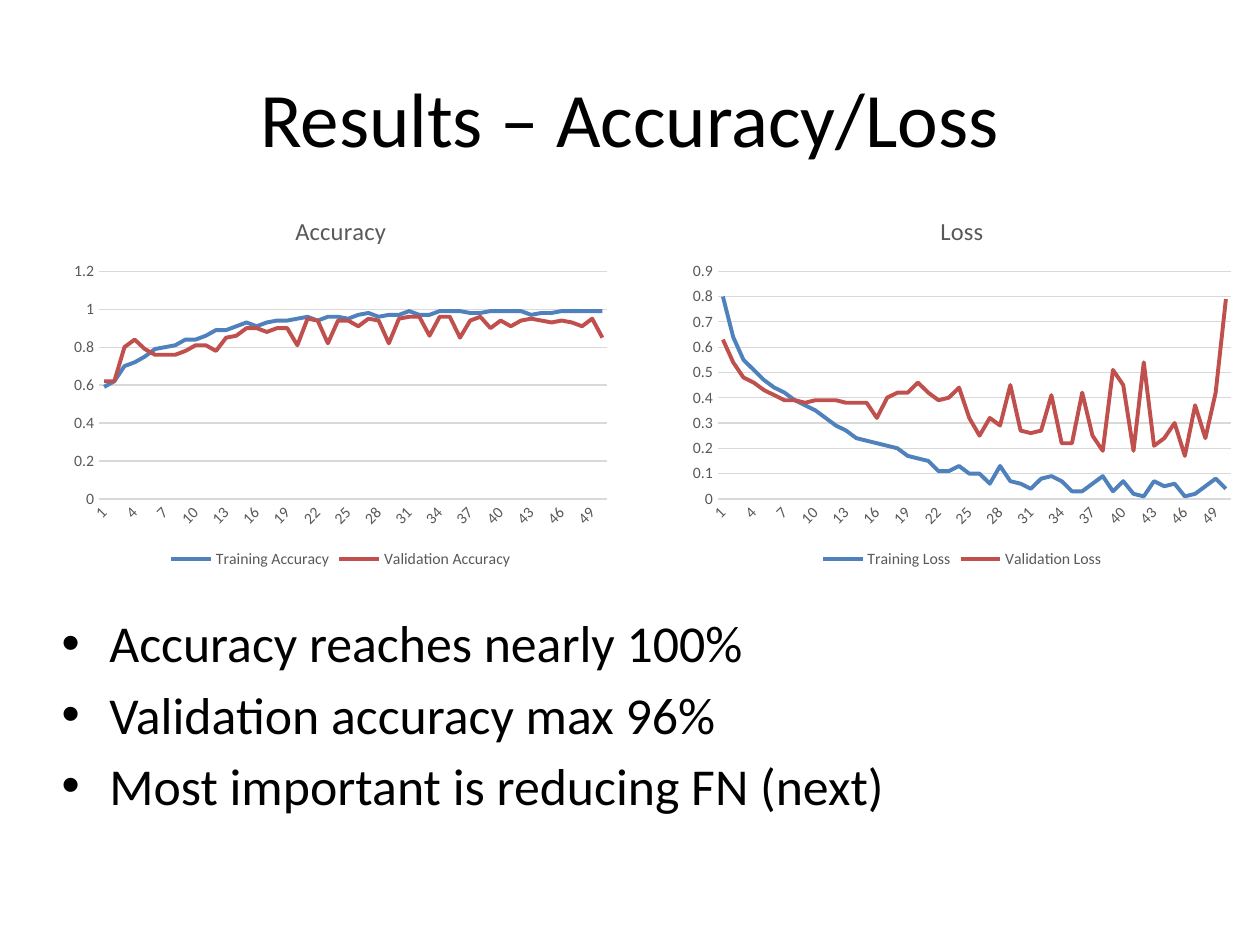
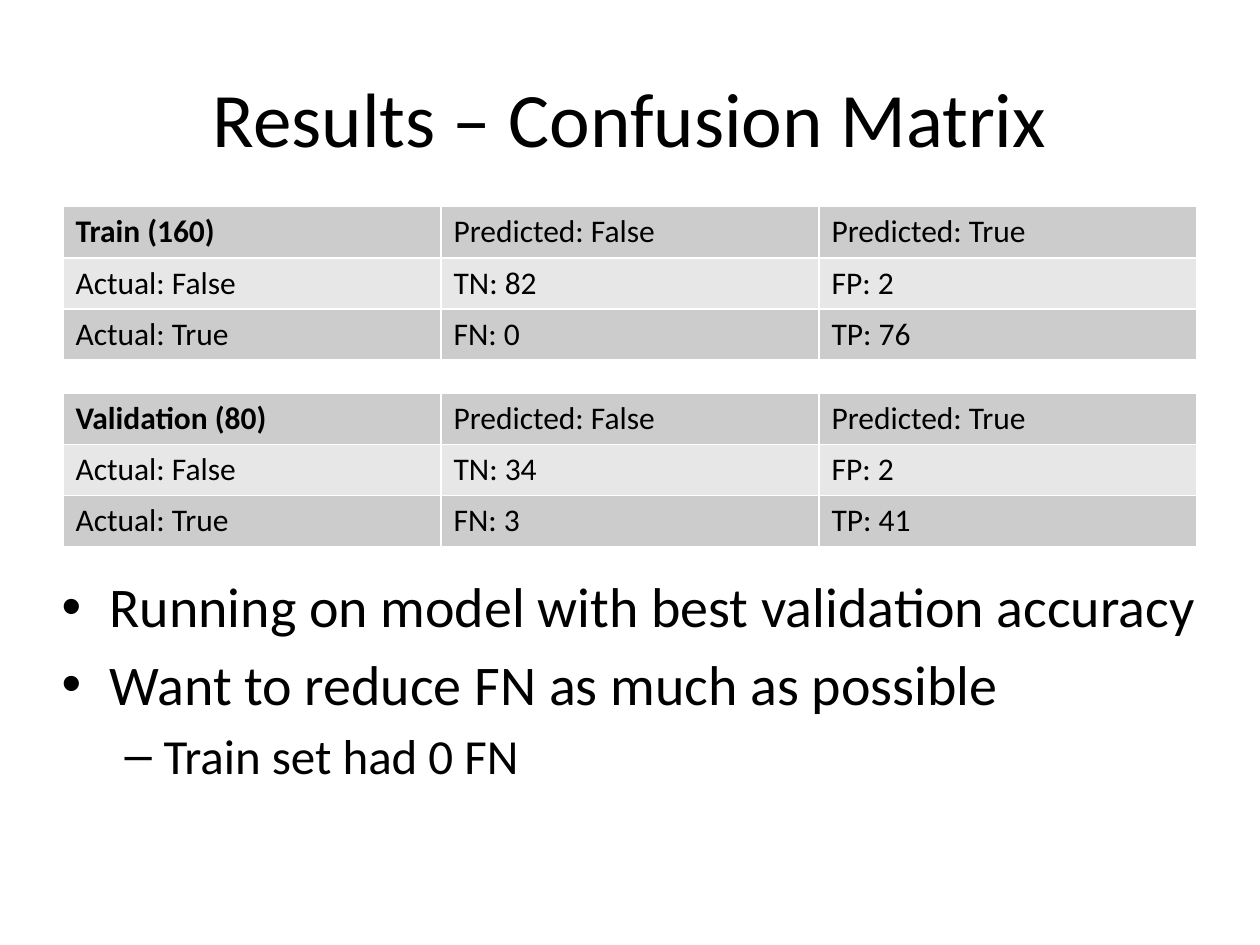
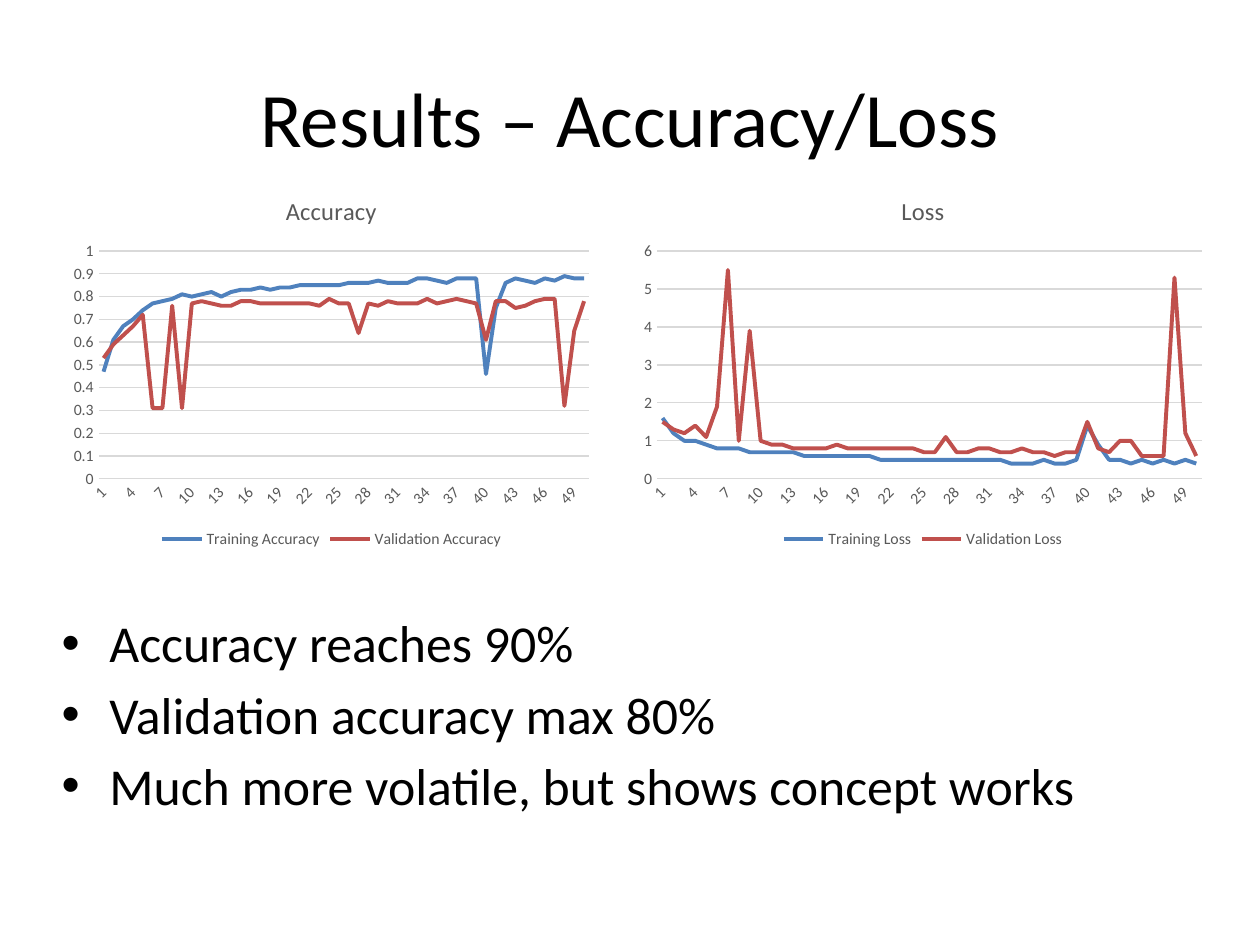
from lxml import etree
from pptx import Presentation
from pptx.chart.data import CategoryChartData
from pptx.dml.color import RGBColor
from pptx.enum.chart import XL_CHART_TYPE, XL_LEGEND_POSITION, XL_TICK_MARK
from pptx.enum.text import MSO_ANCHOR, PP_ALIGN
from pptx.oxml.ns import qn
from pptx.util import Inches, Pt

LINE = XL_CHART_TYPE.LINE
BOTTOM = XL_LEGEND_POSITION.BOTTOM
NO_TICK = XL_TICK_MARK.NONE
MIDDLE, TOP = MSO_ANCHOR.MIDDLE, MSO_ANCHOR.TOP
CENTER, LEFT = PP_ALIGN.CENTER, PP_ALIGN.LEFT

COLORS = {
    "text": "000000",
    "background": "FFFFFF",
    "muted": "595959",
    "rule": "D9D9D9",
    "training": "4F81BD",
    "validation": "C0504D",
    "dark_band": "CCCCCC",
    "light_band": "E7E7E7",
}
FONT = "Calibri"
LEVELS = [("•", 0.38, -0.38), ("–", 0.81, -0.31)]
EPOCHS = [str(epoch) for epoch in range(1, 51)]


def color(name):
    return RGBColor.from_string(COLORS[name])


def apply(target, values):
    for name, value in values.items():
        setattr(target, name, value)


class Deck:
    def __init__(self):
        self.presentation = Presentation()
        apply(self.presentation, {"slide_width": Inches(10), "slide_height": Inches(7.5)})
        self.slide = None

    def style(self, font, size, shade="text", bold=False):
        apply(font, {"name": FONT, "size": Pt(size), "bold": bold})
        font.color.rgb = color(shade)

    def new_slide(self, title):
        self.slide = self.presentation.slides.add_slide(self.presentation.slide_layouts[6])
        background = self.slide.background.fill
        background.solid()
        background.fore_color.rgb = color("background")
        frame = self.text_frame((0.5, 0.3, 9, 1.25), MIDDLE)
        self.add_text(frame.paragraphs[0], title, 44, CENTER)

    def text_frame(self, box, anchor):
        frame = self.slide.shapes.add_textbox(*map(Inches, box)).text_frame
        apply(frame, {"word_wrap": True, "vertical_anchor": anchor})
        return frame

    def add_text(self, paragraph, text, size, alignment=LEFT, bold=False):
        paragraph.alignment = alignment
        run = paragraph.add_run()
        run.text = text
        self.style(run.font, size, bold=bold)

    def bullets(self, top, height, items):
        frame = self.text_frame((0.39, top, 9.47, height), TOP)
        for index, (text, size, level) in enumerate(items):
            paragraph = frame.add_paragraph() if index else frame.paragraphs[0]
            self.add_text(paragraph, text, size)
            apply(paragraph, {"level": level, "space_before": Pt(0.18 * size)})
            mark, margin, indent = LEVELS[level]
            properties = paragraph._p.get_or_add_pPr()
            properties.set("marL", str(Inches(margin)))
            properties.set("indent", str(Inches(indent)))
            etree.SubElement(properties, qn("a:buFont"), typeface="Arial")
            etree.SubElement(properties, qn("a:buChar"), char=mark)

    def border(self, cell):
        properties = cell._tc.get_or_add_tcPr()
        for side in ("lnL", "lnR", "lnT", "lnB"):
            edge = etree.SubElement(properties, qn(f"a:{side}"), w=str(Pt(1)))
            fill = etree.SubElement(edge, qn("a:solidFill"))
            etree.SubElement(fill, qn("a:srgbClr"), val=COLORS["background"])

    def confusion_matrix(self, top, name, tn, fp, fn, tp):
        rows = [
            (name, "Predicted: False", "Predicted: True"),
            ("Actual: False", f"TN: {tn}", f"FP: {fp}"),
            ("Actual: True", f"FN: {fn}", f"TP: {tp}"),
        ]
        box = map(Inches, (0.5, top, 9, 1.22))
        table = self.slide.shapes.add_table(3, 3, *box).table
        apply(table, {"first_row": False, "horz_banding": False})
        for r, row in enumerate(rows):
            for c, text in enumerate(row):
                cell = table.cell(r, c)
                self.add_text(cell.text_frame.paragraphs[0], text, 18, bold=r == c == 0)
                self.border(cell)
                cell.fill.solid()
                cell.fill.fore_color.rgb = color("light_band" if r % 2 else "dark_band")

    def line_chart(self, measure, box, maximum, step, training, validation):
        data = CategoryChartData()
        data.categories = EPOCHS
        data.add_series(f"Training {measure}", training)
        data.add_series(f"Validation {measure}", validation)
        chart = self.slide.shapes.add_chart(LINE, *map(Inches, box), data).chart
        self.style(chart.font, 10)
        apply(chart, {"has_title": True, "has_legend": True})
        heading = chart.chart_title.text_frame
        heading.text = measure
        self.style(heading.paragraphs[0].runs[0].font, 14, "muted")
        apply(chart.legend, {"position": BOTTOM, "include_in_layout": False})
        self.style(chart.legend.font, 9, "muted")
        chart.plots[0].vary_by_categories = False
        for series, shade in zip(chart.plots[0].series, ("training", "validation")):
            series.smooth = False
            self.stroke(series.format.line, shade, 2.25)
        self.axes(chart, maximum, step)

    def stroke(self, line, shade, width):
        line.width = Pt(width)
        line.color.rgb = color(shade)

    def axes(self, chart, maximum, step):
        epochs, values = chart.category_axis, chart.value_axis
        for axis in (epochs, values):
            apply(axis, {"major_tick_mark": NO_TICK, "minor_tick_mark": NO_TICK})
            self.style(axis.tick_labels.font, 9, "muted")
        self.stroke(epochs.format.line, "rule", 0.75)
        epochs._element.find(qn("c:txPr")).find(qn("a:bodyPr")).set("rot", "-2700000")
        apply(values, {"minimum_scale": 0, "maximum_scale": maximum,
                       "major_unit": step, "has_major_gridlines": True})
        apply(values.tick_labels, {"number_format": "General", "number_format_is_linked": False})
        values.format.line.fill.background()
        self.stroke(values.major_gridlines.format.line, "rule", 0.75)


deck = Deck()

deck.new_slide("Results – Accuracy/Loss")
deck.bullets(4.8, 1.68, [
    ("Accuracy reaches nearly 100%", 29.6, 0),
    ("Validation accuracy max 96%", 29.6, 0),
    ("Most important is reducing FN (next)", 29.6, 0),
])
deck.line_chart(
    "Accuracy", (0.5, 1.55, 4.41, 3), 1.2, 0.2,
    [0.59, 0.62, 0.7, 0.72, 0.75, 0.79, 0.8, 0.81, 0.84, 0.84,
     0.86, 0.89, 0.89, 0.91, 0.93, 0.91, 0.93, 0.94, 0.94, 0.95,
     0.96, 0.94, 0.96, 0.96, 0.95, 0.97, 0.98, 0.96, 0.97, 0.97,
     0.99, 0.97, 0.97, 0.99, 0.99, 0.99, 0.98, 0.98, 0.99, 0.99,
     0.99, 0.99, 0.97, 0.98, 0.98, 0.99, 0.99, 0.99, 0.99, 0.99],
    [0.62, 0.62, 0.8, 0.84, 0.79, 0.76, 0.76, 0.76, 0.78, 0.81,
     0.81, 0.78, 0.85, 0.86, 0.9, 0.9, 0.88, 0.9, 0.9, 0.81,
     0.95, 0.94, 0.82, 0.94, 0.94, 0.91, 0.95, 0.94, 0.82, 0.95,
     0.96, 0.96, 0.86, 0.96, 0.96, 0.85, 0.94, 0.96, 0.9, 0.94,
     0.91, 0.94, 0.95, 0.94, 0.93, 0.94, 0.93, 0.91, 0.95, 0.85],
)
deck.line_chart(
    "Loss", (5.41, 1.55, 4.45, 3), 0.9, 0.1,
    [0.8, 0.64, 0.55, 0.51, 0.47, 0.44, 0.42, 0.39, 0.37, 0.35,
     0.32, 0.29, 0.27, 0.24, 0.23, 0.22, 0.21, 0.2, 0.17, 0.16,
     0.15, 0.11, 0.11, 0.13, 0.1, 0.1, 0.06, 0.13, 0.07, 0.06,
     0.04, 0.08, 0.09, 0.07, 0.03, 0.03, 0.06, 0.09, 0.03, 0.07,
     0.02, 0.01, 0.07, 0.05, 0.06, 0.01, 0.02, 0.05, 0.08, 0.04],
    [0.63, 0.54, 0.48, 0.46, 0.43, 0.41, 0.39, 0.39, 0.38, 0.39,
     0.39, 0.39, 0.38, 0.38, 0.38, 0.32, 0.4, 0.42, 0.42, 0.46,
     0.42, 0.39, 0.4, 0.44, 0.32, 0.25, 0.32, 0.29, 0.45, 0.27,
     0.26, 0.27, 0.41, 0.22, 0.22, 0.42, 0.25, 0.19, 0.51, 0.45,
     0.19, 0.54, 0.21, 0.24, 0.3, 0.17, 0.37, 0.24, 0.42, 0.79],
)

deck.new_slide("Results – Confusion Matrix")
deck.confusion_matrix(3.12, "Validation (80)", tn=34, fp=2, fn=3, tp=41)
deck.confusion_matrix(1.64, "Train (160)", tn=82, fp=2, fn=0, tp=76)
deck.bullets(4.49, 1.92, [
    ("Running on model with best validation accuracy", 32, 0),
    ("Want to reduce FN as much as possible", 32, 0),
    ("Train set had 0 FN", 28, 1),
])

deck.new_slide("Results – Accuracy/Loss")
deck.bullets(4.8, 1.68, [
    ("Accuracy reaches 90%", 29.6, 0),
    ("Validation accuracy max 80%", 29.6, 0),
    ("Much more volatile, but shows concept works", 29.6, 0),
])
deck.line_chart(
    "Accuracy", (0.5, 1.39, 4.26, 3), 1, 0.1,
    [0.47, 0.61, 0.67, 0.7, 0.74, 0.77, 0.78, 0.79, 0.81, 0.8,
     0.81, 0.82, 0.8, 0.82, 0.83, 0.83, 0.84, 0.83, 0.84, 0.84,
     0.85, 0.85, 0.85, 0.85, 0.85, 0.86, 0.86, 0.86, 0.87, 0.86,
     0.86, 0.86, 0.88, 0.88, 0.87, 0.86, 0.88, 0.88, 0.88, 0.46,
     0.75, 0.86, 0.88, 0.87, 0.86, 0.88, 0.87, 0.89, 0.88, 0.88],
    [0.53, 0.59, 0.63, 0.67, 0.72, 0.31, 0.31, 0.76, 0.31, 0.77,
     0.78, 0.77, 0.76, 0.76, 0.78, 0.78, 0.77, 0.77, 0.77, 0.77,
     0.77, 0.77, 0.76, 0.79, 0.77, 0.77, 0.64, 0.77, 0.76, 0.78,
     0.77, 0.77, 0.77, 0.79, 0.77, 0.78, 0.79, 0.78, 0.77, 0.61,
     0.78, 0.78, 0.75, 0.76, 0.78, 0.79, 0.79, 0.32, 0.65, 0.78],
)
deck.line_chart(
    "Loss", (5.02, 1.39, 4.61, 3), 6, 1,
    [1.6, 1.2, 1, 1, 0.9, 0.8, 0.8, 0.8, 0.7, 0.7,
     0.7, 0.7, 0.7, 0.6, 0.6, 0.6, 0.6, 0.6, 0.6, 0.6,
     0.5, 0.5, 0.5, 0.5, 0.5, 0.5, 0.5, 0.5, 0.5, 0.5,
     0.5, 0.5, 0.4, 0.4, 0.4, 0.5, 0.4, 0.4, 0.5, 1.4,
     0.9, 0.5, 0.5, 0.4, 0.5, 0.4, 0.5, 0.4, 0.5, 0.4],
    [1.5, 1.3, 1.2, 1.4, 1.1, 1.9, 5.5, 1, 3.9, 1,
     0.9, 0.9, 0.8, 0.8, 0.8, 0.8, 0.9, 0.8, 0.8, 0.8,
     0.8, 0.8, 0.8, 0.8, 0.7, 0.7, 1.1, 0.7, 0.7, 0.8,
     0.8, 0.7, 0.7, 0.8, 0.7, 0.7, 0.6, 0.7, 0.7, 1.5,
     0.8, 0.7, 1, 1, 0.6, 0.6, 0.6, 5.3, 1.2, 0.6],
)

deck.presentation.save("out.pptx")
